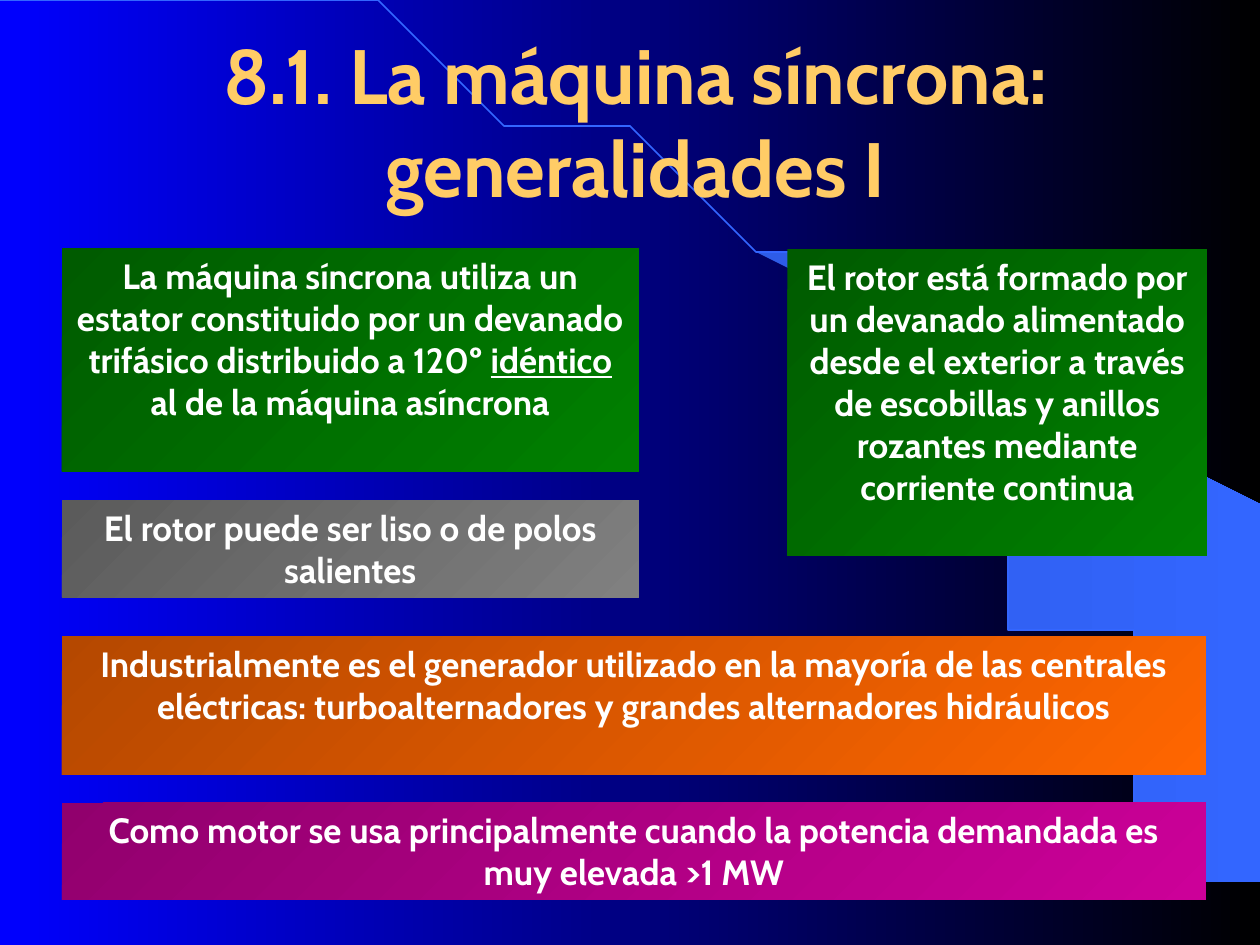
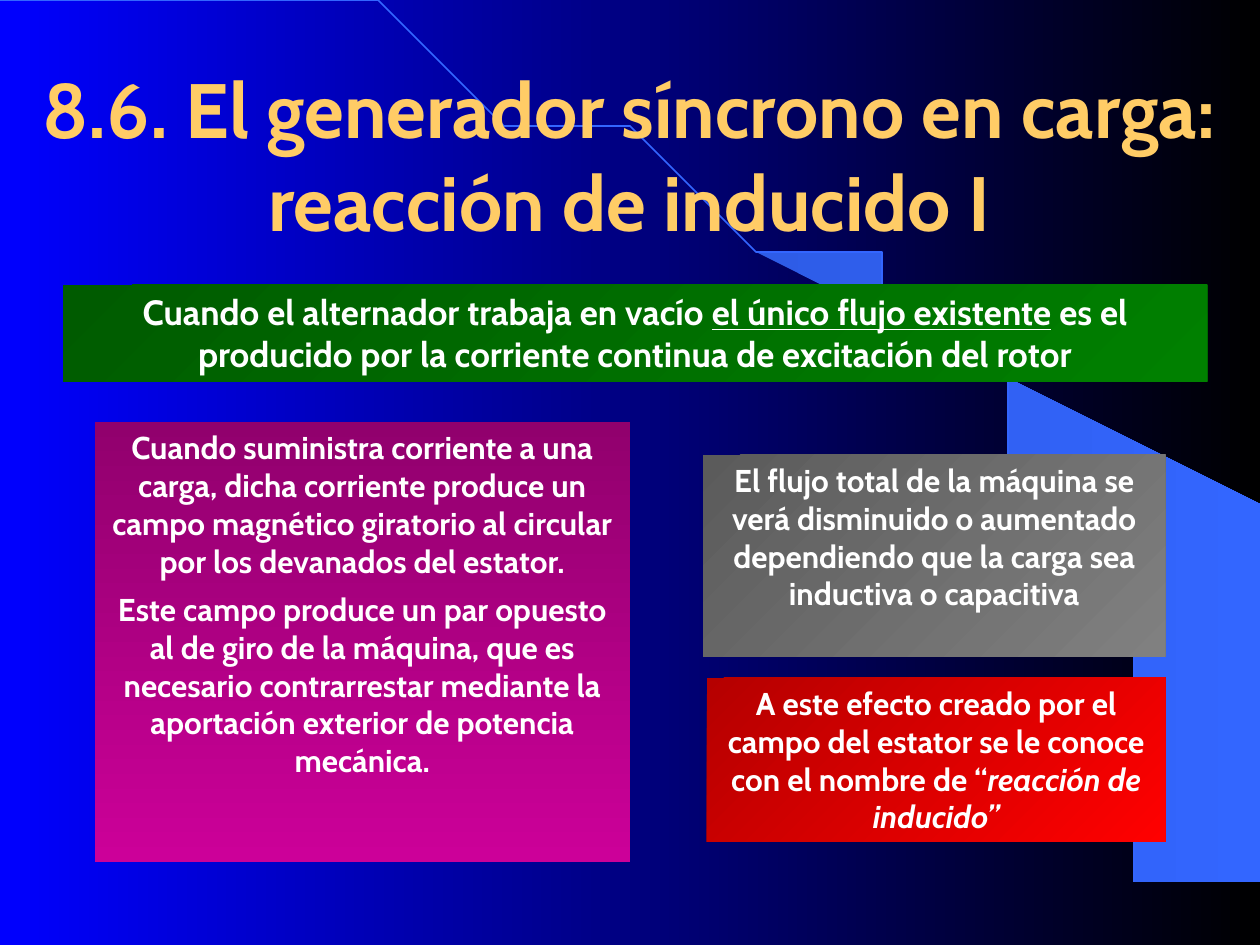
import math
import lxml.etree
import pptx
import pptx.dml.color
import pptx.enum.shapes
import pptx.enum.text
import pptx.oxml.ns
import pptx.util

Inches = pptx.util.Inches
FONT = "Cabin"
GOLD, WHITE, BLUE = "FFCC66", "FFFFFF", "3366FF"
GREEN, GRAY, ORANGE, PINK, RED = "008000", "808080", "FF6600", "CC0099", "FF0000"
LEFT, WIDE = 0.49, 9.08
ARC_W, ARC_H = 9.2, 7.49
STEPS = 60


def paint(hue):
    return pptx.dml.color.RGBColor.from_string(hue)


def blend(fill, first, last, angle):
    fill.gradient()
    fill.gradient_angle = -angle % 360
    for stop, hue in zip(fill.gradient_stops, (first, last)):
        stop.color.rgb = paint(hue)


def shade(shape, hue, angle, level):
    blend(shape.fill, hue, hue, angle)
    start = shape.element.xpath(".//a:gs[1]/a:srgbClr")[0]
    lxml.etree.SubElement(start, pptx.oxml.ns.qn("a:shade"), val=str(level * 1000))


def write(frame, paras, size, hue, gap=0):
    frame.word_wrap = True
    for index, parts in enumerate(paras):
        para = frame.paragraphs[0] if index == 0 else frame.add_paragraph()
        para.alignment = pptx.enum.text.PP_ALIGN.CENTER
        para.space_before = pptx.util.Pt(gap)
        for text, extra in parts:
            run = para.add_run()
            run.text = text
            style = {"name": FONT, "size": pptx.util.Pt(size), "bold": True, **extra}
            for key, value in style.items():
                setattr(run.font, key, value)
            run.font.color.rgb = paint(hue)


def plain(text):
    return [(text, {})]


def add_title(slide, left, top, width, text):
    box = slide.shapes.add_textbox(*map(Inches, (left, top, width, 1.25)))
    box.text_frame.vertical_anchor = pptx.enum.text.MSO_ANCHOR.MIDDLE
    write(box.text_frame, [plain(text)], 44, GOLD)


def add_panel(slide, place, hue, paras, size=20, gap=0, angle=45):
    kind = pptx.enum.shapes.MSO_SHAPE.RECTANGLE
    panel = slide.shapes.add_shape(kind, *map(Inches, place))
    panel.shadow.inherit = False
    panel.line.fill.background()
    shade(panel, hue, angle, 46)
    panel.text_frame.vertical_anchor = pptx.enum.text.MSO_ANCHOR.TOP
    write(panel.text_frame, paras, size, WHITE, gap)


def trace(start):
    turns = (start + (math.pi / 2 - start) * n / STEPS for n in range(STEPS + 1))
    return [(ARC_W * math.sin(t), ARC_H * (1 - math.cos(t))) for t in turns]


def add_path(slide, points, close):
    build = slide.shapes.build_freeform(*points[0], scale=Inches(1))
    build.add_line_segments(points[1:], close=close)
    shape = build.convert_to_shape()
    shape.shadow.inherit = False
    return shape


def add_comet(slide):
    edge = trace(math.asin(5.89 / ARC_W))
    tail = add_path(slide, edge + [(9.99, ARC_H), (9.99, 4.23)], True)
    tail.line.fill.background()
    shade(tail, BLUE, 0, 80)
    arc = add_path(slide, trace(0), False)
    arc.fill.background()
    arc.line.color.rgb = paint(BLUE)
    arc.line.width = pptx.util.Pt(1)


def add_slide(deck):
    slide = deck.slides.add_slide(deck.slide_layouts[6])
    add_comet(slide)
    return slide


def add_basics(deck):
    slide = add_slide(deck)
    add_title(slide, 0.17, 0.33, 9.75, "8.1. La máquina síncrona: generalidades I")
    add_panel(slide, (LEFT, 1.97, 4.58, 1.77), GREEN, [[
        ("La máquina síncrona utiliza un estator constituido por un devanado "
         "trifásico distribuido a 120º ", {}),
        ("idéntico", {"underline": True}),
        (" al de la máquina asíncrona", {})]])
    add_panel(slide, (6.25, 1.98, 3.33, 2.43), GREEN, [plain(
        "El rotor está formado por un devanado alimentado desde el exterior "
        "a través de escobillas y anillos rozantes mediante corriente continua")])
    add_panel(slide, (LEFT, 3.97, 4.58, 0.77), GRAY, [plain(
        "El rotor puede ser liso o de polos salientes")])
    add_panel(slide, (LEFT, 5.05, WIDE, 1.1), ORANGE, [plain(
        "Industrialmente es el generador utilizado en la mayoría de las centrales "
        "eléctricas: turboalternadores y grandes alternadores hidráulicos")])
    add_panel(slide, (LEFT, 6.37, WIDE, 0.77), PINK, [plain(
        "Como motor se usa principalmente cuando la potencia demandada es "
        "muy elevada >1 MW")])


def add_load(deck):
    slide = add_slide(deck)
    add_title(slide, 0.08, 0.6, 9.83,
              "8.6. El generador síncrono en carga: reacción de inducido I")
    add_panel(slide, (0.5, 2.26, WIDE, 0.77), GREEN, [[
        ("Cuando el alternador trabaja en vacío ", {}),
        ("el único flujo existente", {"underline": True}),
        (" es el producido por la corriente continua de excitación del rotor", {})]],
        gap=6)
    add_panel(slide, (5.58, 3.61, 3.67, 1.6), GRAY, [plain(
        "El flujo total de la máquina se verá disminuido o aumentado "
        "dependiendo que la carga sea inductiva o capacitiva")], 18, 6)
    add_panel(slide, (0.75, 3.35, 4.25, 3.49), PINK, [
        plain("Cuando suministra corriente a una carga, dicha corriente produce un "
              "campo magnético giratorio al circular por los devanados del estator."),
        plain("Este campo produce un par opuesto al de giro de la máquina, que es "
              "necesario contrarrestar mediante la aportación exterior de potencia "
              "mecánica.")], 18, 6, 90)
    add_panel(slide, (5.61, 5.38, 3.64, 1.3), RED, [[
        ("A este efecto creado por el campo del estator se le conoce "
         "con el nombre de “", {}),
        ("reacción de inducido”", {"italic": True})]], 18, 6)


def main():
    deck = pptx.Presentation()
    deck.slide_width, deck.slide_height = Inches(10), Inches(7.5)
    blend(deck.slide_master.background.fill, "0000FF", "000000", 0)
    add_basics(deck)
    add_load(deck)
    deck.save("out.pptx")


if __name__ == "__main__":
    main()
